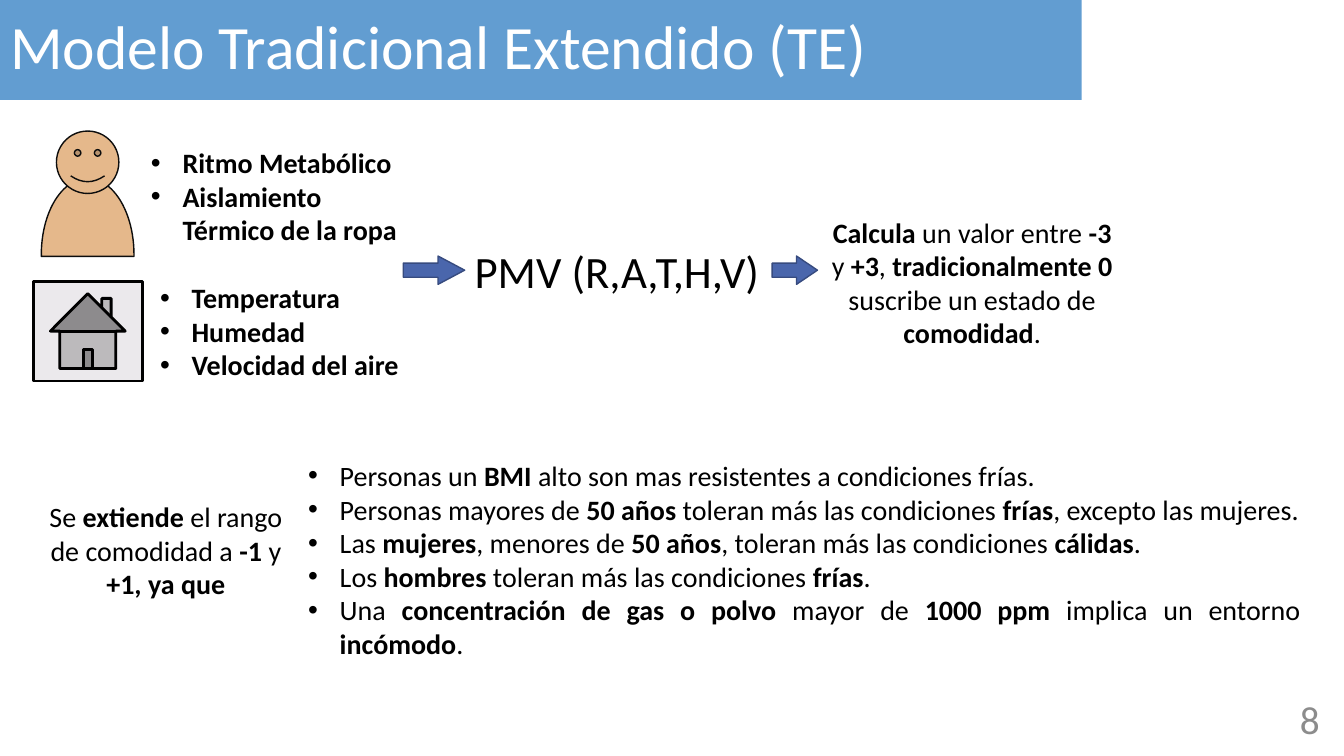
"""Build the slide on the extended traditional comfort model."""
from lxml import etree
from pptx import Presentation
from pptx.dml.color import RGBColor
from pptx.enum import shapes as es, text as et
from pptx.oxml.ns import qn
from pptx.util import Pt

FONT = "Calibri"
BLACK = RGBColor(0x00, 0x00, 0x00)
WHITE = RGBColor(0xFF, 0xFF, 0xFF)
GRAY = RGBColor(0x8C, 0x8C, 0x8C)
BAND = RGBColor(0x62, 0x9D, 0xD1)
SKIN = RGBColor(0xE5, 0xB8, 0x8B)
INK = RGBColor(0x0D, 0x0D, 0x0D)
HOUSE = RGBColor(0xEB, 0xE9, 0xEC)
ARROW = RGBColor(0x4A, 0x66, 0xAC)
EDGE = RGBColor(0x37, 0x4B, 0x7F)
LEFT, CENTER = et.PP_ALIGN.LEFT, et.PP_ALIGN.CENTER
RIGHT, JUST = et.PP_ALIGN.RIGHT, et.PP_ALIGN.JUSTIFY
SHAPE = es.MSO_SHAPE

BODY = (
    "Ritmo Metabólico",
    "Aislamiento Térmico de la ropa",
)
ROOM = ("Temperatura", "Humedad", "Velocidad del aire")
RULES = (
    "Personas un *BMI* alto son mas resistentes a condiciones frías.",
    "Personas mayores de *50 años *toleran más las condiciones *frías*, "
    "excepto las mujeres.",
    "Las *mujeres*, menores de *50 años*, toleran más las condiciones "
    "*cálidas*.",
    "Los *hombres* toleran más las condiciones *frías*.",
    "Una *concentración de gas o polvo *mayor de *1000 ppm* implica un "
    "entorno *incómodo*.",
)
VALUE = ("*Calcula* un valor entre *-3 *y *+3*, *tradicionalmente 0* "
         "suscribe un estado de *comodidad*.")
RANGE = "Se *extiende* el rango de comodidad a *-1* y *+1, ya que*"


def add_runs(para, line, size, color):
    """Add the runs of a line, where asterisks switch bold on and off."""
    for i, part in enumerate(line.split("*")):
        if part:
            run = para.add_run()
            run.text = part
            font = run.font
            font.name, font.size, font.bold = FONT, Pt(size), i % 2 == 1
            font.color.rgb = color


def add_bullet(para):
    """Give a paragraph a hanging round bullet."""
    props = para._p.get_or_add_pPr()
    props.set("marL", str(Pt(22.5)))
    props.set("indent", str(-Pt(22.5)))
    etree.SubElement(props, qn("a:buFont")).set("typeface", "Arial")
    etree.SubElement(props, qn("a:buChar")).set("char", "•")


def add_text(slide, box, lines, size=20, color=BLACK, align=CENTER,
             bullet=False, wrap=True):
    """Add a text box with one paragraph for each line."""
    frame = slide.shapes.add_textbox(*map(Pt, box)).text_frame
    frame.word_wrap = wrap
    frame.vertical_anchor = et.MSO_ANCHOR.MIDDLE
    for i, line in enumerate(lines):
        para = frame.add_paragraph() if i else frame.paragraphs[0]
        para.alignment = align
        if bullet:
            add_bullet(para)
        add_runs(para, line, size, color)


def add_list(slide, box, lines):
    """Add a justified bullet list."""
    add_text(slide, box, lines, align=JUST, bullet=True)


def add_form(shapes, kind, box, fill, line, width=1, adjust=()):
    """Add a filled and outlined preset shape."""
    form = shapes.add_shape(kind, *map(Pt, box))
    form.shadow.inherit = False
    form.fill.solid()
    form.fill.fore_color.rgb = fill
    form.line.color.rgb = line
    form.line.width = Pt(width)
    for i, value in enumerate(adjust):
        form.adjustments[i] = value


def set_title(slide, line):
    """Turn the title placeholder into the band at the top."""
    title = slide.shapes.title
    title.left, title.top = Pt(0), Pt(0)
    title.width, title.height = Pt(772.6), Pt(71.3)
    title.fill.solid()
    title.fill.fore_color.rgb = BAND
    frame = title.text_frame
    frame.word_wrap = True
    frame.auto_size = et.MSO_AUTO_SIZE.NONE
    frame.vertical_anchor = et.MSO_ANCHOR.MIDDLE
    para = frame.paragraphs[0]
    para.alignment, para.line_spacing = LEFT, 0.9
    add_runs(para, line, 44, WHITE)


def add_person(slide):
    """Add the smiling person as a group."""
    shapes = slide.shapes.add_group_shape().shapes
    add_form(shapes, SHAPE.CHORD, (29.5, 127.4, 66.2, 108.7), SKIN, INK,
             adjust=(106.52, 1.52))
    add_form(shapes, SHAPE.SMILEY_FACE, (40.3, 93.6, 44.6, 44.6), SKIN, INK,
             adjust=(0.05,))


def add_arrow(slide, left, width, head):
    """Add a block arrow on the line of the formula."""
    add_form(slide.shapes, SHAPE.RIGHT_ARROW, (left, 182.9, width, 20.2),
             ARROW, EDGE, adjust=(0.5, head))


def main():
    """Build and save the slide."""
    deck = Presentation()
    deck.slide_width, deck.slide_height = Pt(960), Pt(540)
    slide = deck.slides.add_slide(deck.slide_layouts[5])
    set_title(slide, "Modelo Tradicional Extendido (TE)")
    add_text(slide, (733.7, 499, 216, 28.8), ["8"], 28, GRAY, RIGHT)
    add_list(slide, (213.1, 325.4, 722.9, 148.3), RULES)
    add_person(slide)
    add_list(slide, (100.8, 104.4, 194.4, 71.3), [f"*{s}*" for s in BODY])
    add_form(slide.shapes, SHAPE.ACTION_BUTTON_HOME,
             (23.8, 200.9, 77.8, 71.3), HOUSE, BLACK, 2)
    add_list(slide, (107.3, 200.9, 189.4, 71.3), [f"*{s}*" for s in ROOM])
    add_text(slide, (584.6, 150.5, 219.6, 102.2), [VALUE])
    add_text(slide, (23.8, 362.9, 189.4, 59.8), [RANGE])
    add_arrow(slide, 288, 43.9, 0.94)
    add_text(slide, (331.9, 169.9, 219.6, 46.1), ["PMV (R,A,T,H,V)"], 32,
             align=LEFT, wrap=False)
    add_arrow(slide, 551.5, 32.4, 0.74)
    deck.save("out.pptx")


if __name__ == "__main__":
    main()
